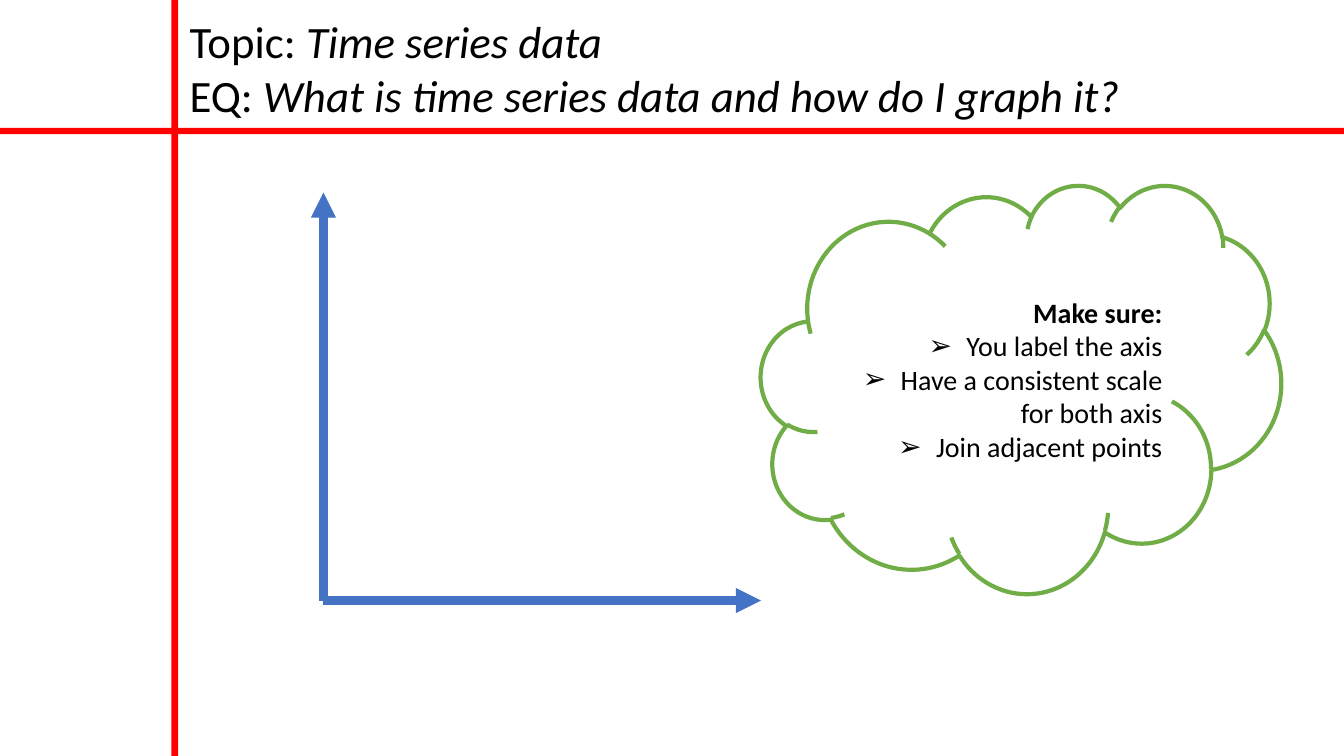
from dataclasses import dataclass

from lxml.etree import SubElement
from pptx import Presentation
from pptx.dml.color import RGBColor
from pptx.enum.shapes import MSO_CONNECTOR, MSO_SHAPE
from pptx.enum.text import MSO_ANCHOR, MSO_AUTO_SIZE, PP_ALIGN
from pptx.oxml.ns import qn
from pptx.util import Pt

PAGE_WIDTH, PAGE_HEIGHT = 960, 540


@dataclass(frozen=True)
class Theme:
    font: str = "Calibri"
    title_size: int = 32
    note_size: int = 20
    text: RGBColor = RGBColor(0, 0, 0)
    paper: RGBColor = RGBColor(255, 255, 255)
    rule: RGBColor = RGBColor(255, 0, 0)
    axis: RGBColor = RGBColor(0x44, 0x72, 0xC4)
    cloud: RGBColor = RGBColor(0x70, 0xAD, 0x47)


def add_span(para, text, *, theme, size, bold=False, italic=False):
    span = para.add_run()
    span.text = text
    font = span.font
    font.name, font.size = theme.font, Pt(size)
    font.bold, font.italic = bold, italic
    font.color.rgb = theme.text


def add_bullet(para, mark, indent):
    properties = para._p.get_or_add_pPr()
    properties.set("marL", str(Pt(indent)))
    properties.set("indent", str(-Pt(indent)))
    SubElement(properties, qn("a:buFont")).set("typeface", "Arial")
    SubElement(properties, qn("a:buChar")).set("char", mark)


def paragraphs(frame, count):
    """Return the first paragraph of the frame followed by new ones."""
    return [frame.paragraphs[0]] + [frame.add_paragraph() for _ in range(count - 1)]


class SlideBuilder:
    def __init__(self, page, theme):
        self.page, self.theme = page, theme

    def shape(self, kind, left, top, width, height, fill, line=None, line_width=0):
        box = self.page.shapes.add_shape(kind, Pt(left), Pt(top), Pt(width), Pt(height))
        box.shadow.inherit = False
        box.fill.solid()
        box.fill.fore_color.rgb = fill
        if line is None:
            box.line.fill.background()
        else:
            box.line.color.rgb = line
            box.line.width = Pt(line_width)
        return box

    def rule(self, left, top, width, height):
        self.shape(MSO_SHAPE.RECTANGLE, left, top, width, height, self.theme.rule)

    def title(self, left, top, width, height, lines):
        """Fill the title with lines of a label and an italic text."""
        box = self.page.shapes.title
        box.left, box.top, box.width, box.height = map(Pt, (left, top, width, height))
        frame = box.text_frame
        frame.word_wrap = True
        frame.auto_size = MSO_AUTO_SIZE.SHAPE_TO_FIT_TEXT
        frame.vertical_anchor = MSO_ANCHOR.TOP
        style = {"theme": self.theme, "size": self.theme.title_size}
        for para, (label, text) in zip(paragraphs(frame, len(lines)), lines):
            para.alignment = PP_ALIGN.LEFT
            para.space_before = Pt(0)
            add_span(para, label, **style)
            add_span(para, text, italic=True, **style)

    def axis(self, start, end):
        arrow = self.page.shapes.add_connector(
            MSO_CONNECTOR.STRAIGHT, *map(Pt, (*start, *end)))
        arrow.line.color.rgb = self.theme.axis
        arrow.line.width = Pt(6)
        SubElement(arrow.line._get_or_add_ln(), qn("a:tailEnd")).set("type", "triangle")
        SubElement(arrow._element.spPr, qn("a:effectLst"))

    def cloud(self, left, top, width, height, heading, reminders):
        box = self.shape(MSO_SHAPE.CLOUD, left, top, width, height,
                         self.theme.paper, self.theme.cloud, 3)
        frame = box.text_frame
        frame.word_wrap = True
        frame.vertical_anchor = MSO_ANCHOR.MIDDLE
        style = {"theme": self.theme, "size": self.theme.note_size}
        first, *rest = paragraphs(frame, 1 + len(reminders))
        first.alignment = PP_ALIGN.RIGHT
        add_span(first, heading, bold=True, **style)
        for para, reminder in zip(rest, reminders):
            para.alignment = PP_ALIGN.RIGHT
            add_bullet(para, "➢", 27)
            add_span(para, reminder, **style)


def main():
    deck = Presentation()
    deck.slide_width, deck.slide_height = Pt(PAGE_WIDTH), Pt(PAGE_HEIGHT)
    page = deck.slides.add_slide(deck.slide_layouts[5])
    builder = SlideBuilder(page, Theme())

    builder.rule(122.4, 0, 4.8, PAGE_HEIGHT)
    builder.rule(0, 91.4, PAGE_WIDTH, 4.5)
    builder.title(128.2, 6.5, 821.5, 85, [
        ("Topic: ", "Time series data"),
        ("EQ: ", "What is time series data and how do I graph it?"),
    ])

    origin = (231, 429)
    for tip in ((231, 137.5), (543.6, 429)):
        builder.axis(origin, tip)

    builder.cloud(543.6, 131.8, 371.5, 291.6, "Make sure:", [
        "You label the axis",
        "Have a consistent scale for both axis",
        "Join adjacent points",
    ])
    deck.save("out.pptx")


if __name__ == "__main__":
    main()
